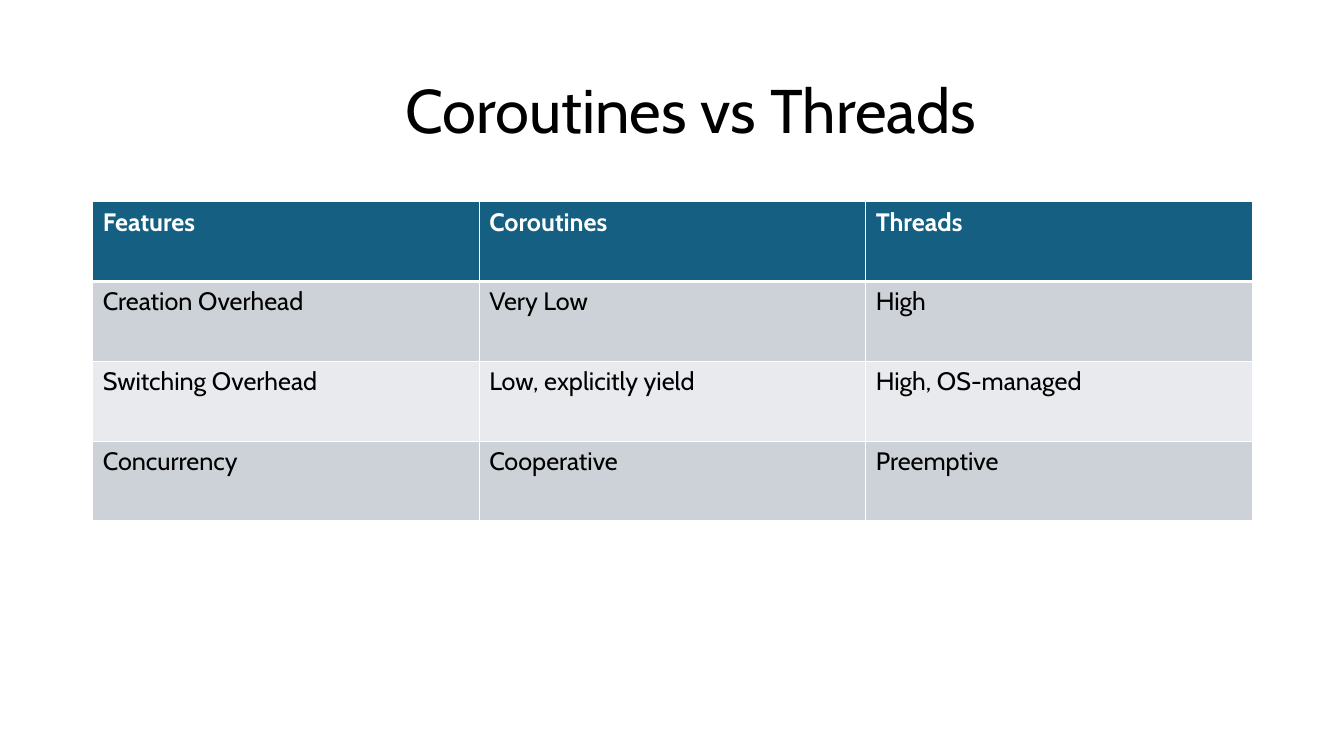
from lxml.etree import SubElement
from pptx import Presentation
from pptx.dml.color import RGBColor
from pptx.enum.text import MSO_ANCHOR, MSO_AUTO_SIZE, PP_ALIGN
from pptx.oxml.ns import qn
from pptx.util import Inches, Pt

COLORS = {
    "header": "156082",
    "odd_row": "CCD2D8",
    "even_row": "E8EAED",
    "ink": "000000",
    "white": "FFFFFF",
}
FONT = "Cabin"
COMPARISON = [
    ("Features", "Coroutines", "Threads"),
    ("Creation Overhead", "Very Low", "High"),
    ("Switching Overhead", "Low, explicitly yield", "High, OS-managed"),
    ("Concurrency", "Cooperative", "Preemptive"),
]


def write_text(frame, text, size=18, color="ink", bold=False, spacing=1.0):
    """Write one left-aligned formatted paragraph into a text frame."""
    paragraph = frame.paragraphs[0]
    paragraph.alignment = PP_ALIGN.LEFT
    paragraph.line_spacing = spacing
    run = paragraph.add_run()
    run.text = text
    run.font.name = FONT
    run.font.size = Pt(size)
    run.font.bold = bold
    run.font.color.rgb = RGBColor.from_string(COLORS[color])


def add_borders(cell, **widths):
    """Give a cell white borders, with widths in points by side."""
    properties = cell._tc.get_or_add_tcPr()
    for side in ("L", "R", "T", "B"):
        width = Pt(widths.get(side, 1))
        line = SubElement(properties, qn(f"a:ln{side}"), w=str(width))
        fill = SubElement(line, qn("a:solidFill"))
        SubElement(fill, qn("a:srgbClr"), val=COLORS["white"])


def place_title(slide, left, top, width, height):
    """Place the heading in the title placeholder, indented from the left."""
    title = slide.shapes.title
    title.left, title.top = Inches(left), Inches(top)
    title.width, title.height = Inches(width), Inches(height)
    frame = title.text_frame
    frame.auto_size = MSO_AUTO_SIZE.NONE
    frame.word_wrap = True
    frame.vertical_anchor = MSO_ANCHOR.MIDDLE
    frame.margin_left = Inches(3.1)
    write_text(frame, "Coroutines vs Threads", size=44, spacing=0.9)


def place_comparison(slide, left, top, width, height):
    """Place the comparison table with even columns and rows in the box."""
    table = slide.shapes.add_table(
        len(COMPARISON), len(COMPARISON[0]),
        Inches(left), Inches(top), Inches(width), Inches(height),
    ).table
    for row_index, features in enumerate(COMPARISON):
        is_header = row_index == 0
        band = "header" if is_header else "odd_row" if row_index % 2 else "even_row"
        for column_index, feature in enumerate(features):
            cell = table.cell(row_index, column_index)
            add_borders(cell, T=3 if row_index == 1 else 1, B=3 if is_header else 1)
            cell.fill.solid()
            cell.fill.fore_color.rgb = RGBColor.from_string(COLORS[band])
            write_text(cell.text_frame, feature, bold=is_header,
                       color="white" if is_header else "ink")


def main():
    """Build the slide and save it."""
    presentation = Presentation()
    presentation.slide_width = Inches(13.33)
    presentation.slide_height = Inches(7.5)
    slide = presentation.slides.add_slide(presentation.slide_layouts[5])
    place_title(slide, 0.92, 0.4, 11.5, 1.45)
    place_comparison(slide, 0.92, 2, 11.5, 3.17)
    presentation.save("out.pptx")


if __name__ == "__main__":
    main()
